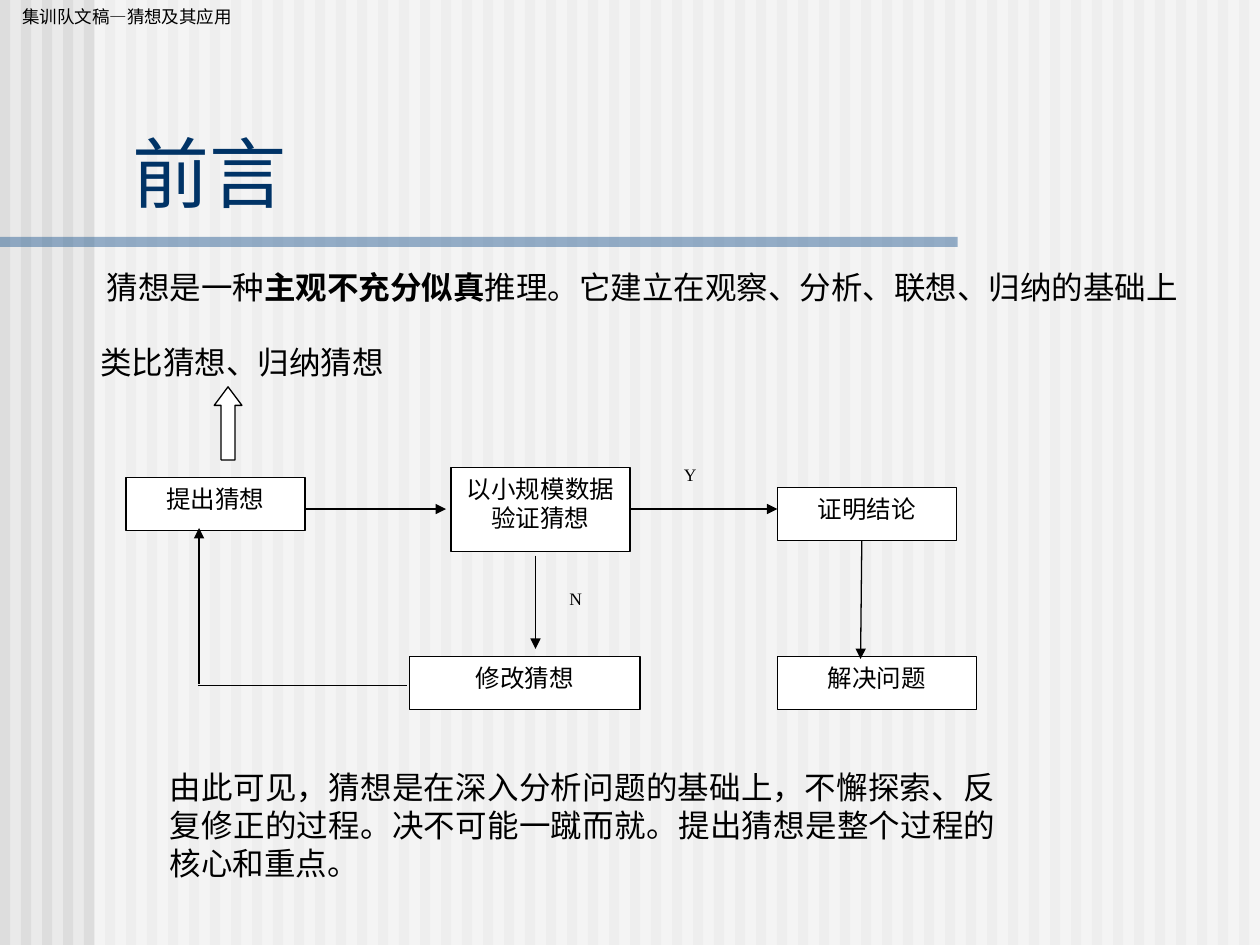
from pptx import Presentation
from pptx.dml.color import RGBColor
from pptx.enum.shapes import MSO_CONNECTOR, MSO_SHAPE
from pptx.enum.text import MSO_ANCHOR, PP_ALIGN
from pptx.oxml.ns import qn
from pptx.util import Inches, Pt
from lxml.etree import SubElement

SERIF, SANS = "Times New Roman", "DejaVu Sans"
BLACK, WHITE = "000000", "FFFFFF"
LEFT, CENTER, JUSTIFY = PP_ALIGN.LEFT, PP_ALIGN.CENTER, PP_ALIGN.JUSTIFY

prs = Presentation()
prs.slide_width, prs.slide_height = Inches(10), Inches(7.5)
s = prs.slides.add_slide(prs.slide_layouts[5])
s.background.fill.solid()
s.background.fill.fore_color.rgb = RGBColor.from_string("EAEAEA")


def add_box(kind, box, fill, line=None, alpha=None):
    sp = s.shapes.add_shape(kind, *map(Inches, box))
    sp.shadow.inherit = False
    sp.fill.solid()
    sp.fill.fore_color.rgb = RGBColor.from_string(fill)
    if alpha:
        color = sp.fill._xPr.find(".//" + qn("a:srgbClr"))
        SubElement(color, qn("a:alpha"), val=str(alpha * 1000))
    if line:
        sp.line.color.rgb = RGBColor.from_string(line)
        sp.line.width = Pt(0.75)
    else:
        sp.line.fill.background()
    return sp


def write(sp, runs, size, align=LEFT, color=BLACK, anchor=MSO_ANCHOR.TOP):
    """Fill a shape with one paragraph of (text, font name, bold) runs."""
    tf = sp.text_frame
    tf.word_wrap = True
    tf.vertical_anchor = anchor
    p = tf.paragraphs[0]
    p.alignment = align
    for text, name, bold in runs:
        r = p.add_run()
        r.text = text
        for key, value in {"name": name, "size": Pt(size), "bold": bold}.items():
            setattr(r.font, key, value)
        r.font.color.rgb = RGBColor.from_string(color)


# Striped background, pale veil and title rule
for i in range(60):
    add_box(MSO_SHAPE.RECTANGLE, (i / 6, 0, 0.08, 7.5), "DDDDDD")
add_box(MSO_SHAPE.RECTANGLE, (0.75, 0, 9.25, 7.5), WHITE, alpha=50)
add_box(MSO_SHAPE.RECTANGLE, (0, 1.88, 7.6, 0.08), "336699", alpha=50)

# Title, brought in front of the background
title = s.shapes.title
title.element.getparent().append(title.element)
title.left, title.top, title.width, title.height = map(Inches, (0.95, 0.94, 8.93, 0.84))
write(title, [("前言", SANS, False)], 44, color="003366", anchor=MSO_ANCHOR.BOTTOM)

# Flowchart steps
steps = [
    ("提出猜想", (1, 3.79, 1.42, 0.42)),
    ("以小规模数据验证猜想", (3.58, 3.71, 1.42, 0.67)),
    ("证明结论", (6.17, 3.87, 1.42, 0.42)),
    ("修改猜想", (3.25, 5.21, 1.83, 0.42)),
    ("解决问题", (6.17, 5.21, 1.58, 0.42)),
]
for text, box in steps:
    sp = add_box(MSO_SHAPE.RECTANGLE, box, WHITE, BLACK)
    write(sp, [(text, SERIF, False)], 14, CENTER)

# Links between steps: start, end, arrowhead
links = [
    ((2.42, 4.04), (3.54, 4.04), True),
    ((5, 4.04), (6.17, 4.04), True),
    ((4.25, 4.41), (4.25, 5.15), True),
    ((3.23, 5.44), (1.57, 5.44), False),
    ((1.58, 5.43), (1.58, 4.19), True),
    ((6.84, 4.29), (6.83, 5.23), True),
]
for start, end, arrow in links:
    link = s.shapes.add_connector(MSO_CONNECTOR.STRAIGHT, *map(Inches, start + end))
    link.line.color.rgb = RGBColor.from_string(BLACK)
    link.line.width = Pt(0.75)
    if arrow:
        SubElement(link.line._get_or_add_ln(), qn("a:tailEnd"), type="triangle")
    SubElement(link.element.spPr, qn("a:effectLst"))

up = add_box(MSO_SHAPE.UP_ARROW, (1.7, 3.07, 0.22, 0.58), WHITE, BLACK)
up.adjustments[0], up.adjustments[1] = 0.5, 0.67

# Header, body text and branch labels
texts = [
    ((0.08, 0, 2.25, 0.27), 10, LEFT, [("集训队文稿—猜想及其应用", SERIF, False)]),
    ((0.75, 2.08, 8.92, 0.4), 18, LEFT, [
        ("猜想是一种", SERIF, False),
        ("主观不充分似真", SERIF, True),
        ("推理。它建立在观察、分析、联想、归纳的基础上", SERIF, False),
    ]),
    ((0.17, 2.67, 3.5, 0.4), 18, CENTER, [("类比猜想、归纳猜想", SANS, False)]),
    ((5.33, 3.63, 0.5, 0.32), 10, JUSTIFY, [("Y", SERIF, False)]),
    ((4.42, 4.62, 0.63, 0.29), 10, JUSTIFY, [("N", SERIF, False)]),
    ((1.25, 6.05, 6.75, 1), 18, JUSTIFY, [
        ("由此可见，猜想是在深入分析问题的基础上，不懈探索、反复修正的过程。决不可能一蹴而就。", SERIF, False),
        ("提出猜想是整个过程的核心和重点。", SANS, False),
    ]),
]
for box, size, align, runs in texts:
    write(s.shapes.add_textbox(*map(Inches, box)), runs, size, align)

prs.save("out.pptx")
